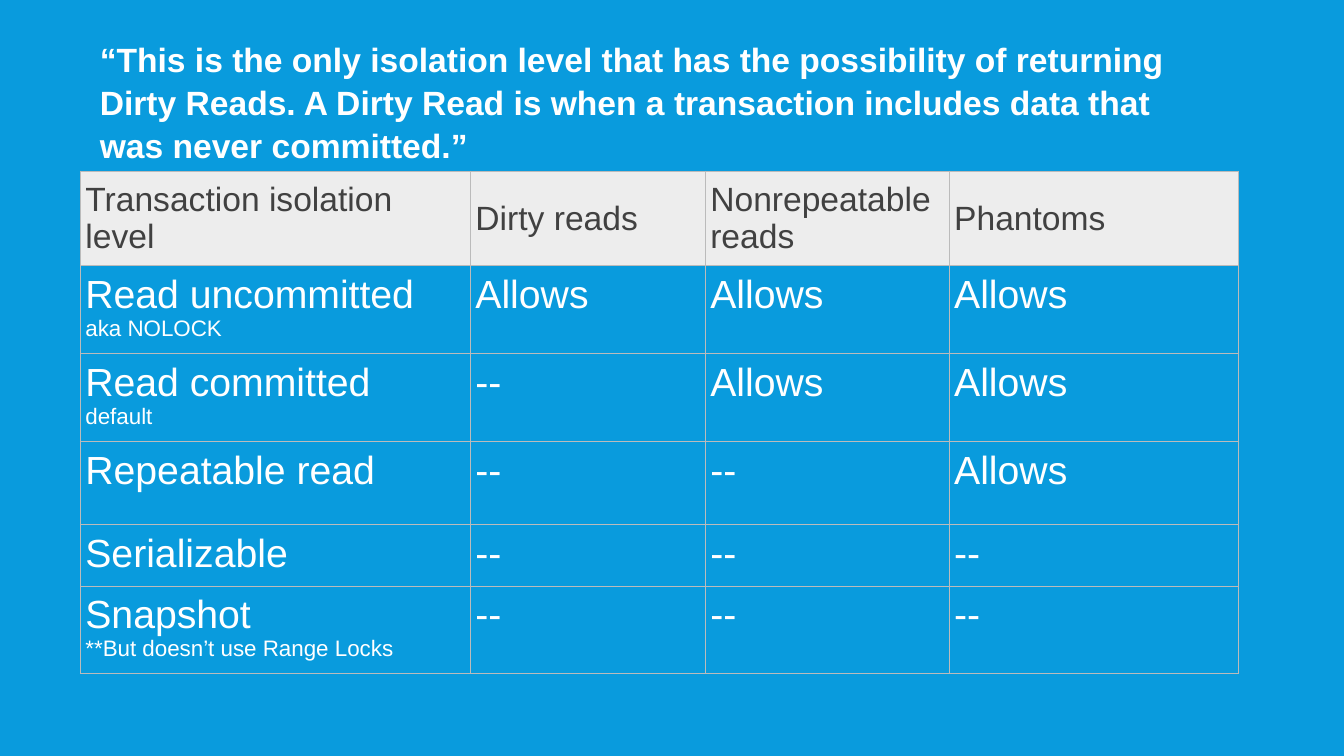
from typing import NamedTuple

from lxml import etree
from pptx import Presentation
from pptx import util as u
from pptx.dml.color import RGBColor
from pptx.enum import text
from pptx.oxml.ns import qn

BLUE, WHITE, HEADER_FILL, HEADER_TEXT, BORDER = "099BDD", "FFFFFF", "EDEDED", "414141", "BBBBBB"
QUOTE = (
    "“This is the only isolation level that has the possibility of returning "
    "Dirty Reads. A Dirty Read is when a transaction includes data that "
    "was never committed.”"
)
HEADINGS = ("Transaction isolation level", "Dirty reads", "Nonrepeatable reads", "Phantoms")
COLUMN_WIDTHS = (278.64, 167.76, 174.24, 206.64)
HEADER_HEIGHT = 63.5


class Level(NamedTuple):
    name: str
    note: str
    allowed: tuple[bool, bool, bool]
    height: float


LEVELS = (
    Level("Read uncommitted", "aka NOLOCK", (True, True, True), 59.5),
    Level("Read committed", "default", (False, True, True), 59.5),
    Level("Repeatable read", "", (False, False, True), 59.5),
    Level("Serializable", "", (False, False, False), 40.5),
    Level("Snapshot", "**But doesn’t use Range Locks", (False, False, False), 59),
)


def rgb(value: str) -> RGBColor:
    return RGBColor.from_string(value)


def write(p, content: str, *, size: float, color: str = WHITE, bold: bool = False) -> None:
    r = p.add_run()
    r.text = content
    r.font.name = "Arial"
    r.font.size = u.Pt(size)
    r.font.bold = bold
    r.font.color.rgb = rgb(color)
    p.alignment = text.PP_ALIGN.LEFT


def add_borders(cell) -> None:
    props = cell._tc.get_or_add_tcPr()
    for position, side in enumerate(("lnL", "lnR", "lnT", "lnB")):
        line = etree.Element(qn(f"a:{side}"), w=str(u.Pt(0.75)))
        fill = etree.SubElement(line, qn("a:solidFill"))
        etree.SubElement(fill, qn("a:srgbClr"), val=BORDER)
        props.insert(position, line)


def format_cell(cell, fill: str | None = None) -> None:
    cell.margin_left = cell.margin_right = u.Pt(3.6)
    cell.margin_top = cell.margin_bottom = u.Pt(5)
    if fill:
        cell.fill.solid()
        cell.fill.fore_color.rgb = rgb(fill)
        cell.vertical_anchor = text.MSO_ANCHOR.MIDDLE
    else:
        cell.fill.background()
        cell.vertical_anchor = text.MSO_ANCHOR.TOP
    add_borders(cell)


def add_quote(s) -> None:
    sp = s.shapes.title
    sp.left, sp.top, sp.width, sp.height = map(u.Pt, (64.1, 22.3, 805.7, 94.3))
    tf = sp.text_frame
    tf.word_wrap = True
    tf.auto_size = text.MSO_AUTO_SIZE.SHAPE_TO_FIT_TEXT
    tf.vertical_anchor = text.MSO_ANCHOR.TOP
    p = tf.paragraphs[0]
    p.line_spacing = 1.07
    write(p, QUOTE, size=24, bold=True)


def add_levels(s) -> None:
    heights = (HEADER_HEIGHT, *(level.height for level in LEVELS))
    table = s.shapes.add_table(
        len(heights), len(HEADINGS), u.Pt(57.4), u.Pt(122.2),
        u.Pt(sum(COLUMN_WIDTHS)), u.Pt(sum(heights)),
    ).table
    table.horz_banding = False
    for column, width in zip(table.columns, COLUMN_WIDTHS):
        column.width = u.Pt(width)
    for row, height in zip(table.rows, heights):
        row.height = u.Pt(height)
    for cell, heading in zip(table.rows[0].cells, HEADINGS):
        format_cell(cell, HEADER_FILL)
        write(cell.text_frame.paragraphs[0], heading, size=24, color=HEADER_TEXT)
    for i, level in enumerate(LEVELS, start=1):
        answers = ("Allows" if allowed else "--" for allowed in level.allowed)
        for cell, content in zip(table.rows[i].cells, (level.name, *answers)):
            format_cell(cell)
            write(cell.text_frame.paragraphs[0], content, size=28)
        if level.note:
            write(table.cell(i, 0).text_frame.add_paragraph(), level.note, size=16)


def main() -> None:
    prs = Presentation()
    prs.slide_width, prs.slide_height = u.Pt(960), u.Pt(540)
    s = prs.slides.add_slide(prs.slide_layouts.get_by_name("Title Only"))
    s.background.fill.solid()
    s.background.fill.fore_color.rgb = rgb(BLUE)
    add_levels(s)
    add_quote(s)
    prs.save("out.pptx")


if __name__ == "__main__":
    main()
